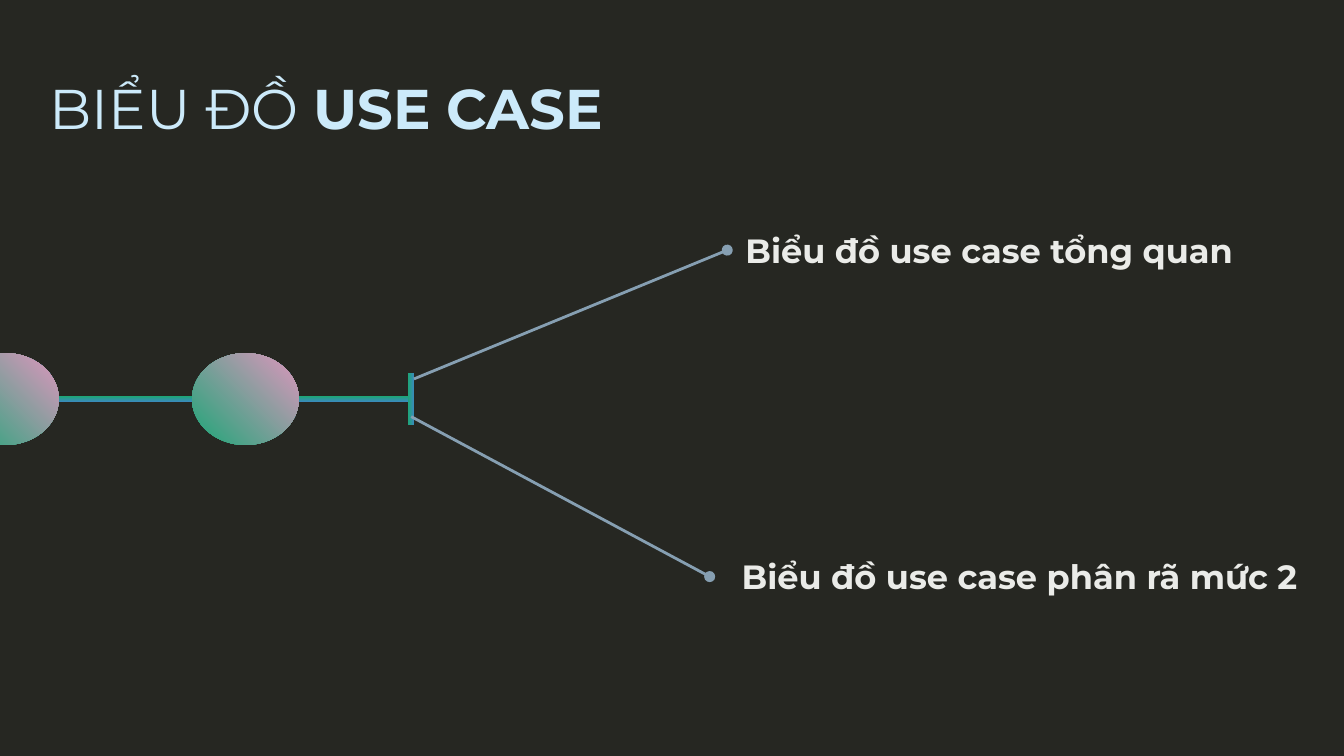
import pptx
import pptx.util
import pptx.dml.color
import pptx.enum.shapes
import pptx.enum.text
import pptx.oxml
import pptx.oxml.ns

Pt = pptx.util.Pt
SHAPES = pptx.enum.shapes.MSO_SHAPE
ALIGN = pptx.enum.text.PP_ALIGN
GREEN, BLUE, PINK = "1DA677", "3A8ABB", "E096BE"
TITLE_COLOR, LABEL_COLOR, LINE_COLOR = "CCEAFA", "EAEBE8", "869FB2"


def color(value):
    """Turn a hex string into a colour."""
    return pptx.dml.color.RGBColor.from_string(value)


def add_text(slide, box, runs, size, text_color, align):
    """Place one line of text, given as (text, bold) runs, in a box."""
    text_box = slide.shapes.add_textbox(*(Pt(length) for length in box))
    frame = text_box.text_frame
    frame.word_wrap = True
    frame.vertical_anchor = pptx.enum.text.MSO_ANCHOR.MIDDLE
    frame.margin_left = frame.margin_right = Pt(7.2)
    frame.margin_top = frame.margin_bottom = Pt(7.2)
    paragraph = frame.paragraphs[0]
    paragraph.alignment = align
    for text, bold in runs:
        run = paragraph.add_run()
        run.text = text
        run.font.name = "Montserrat"
        run.font.size = Pt(size)
        run.font.bold = bold
        run.font.color.rgb = color(text_color)


def add_gradient_shape(slide, kind, box, end_colors, angle):
    """Add a borderless shape with a two-colour gradient."""
    shape = slide.shapes.add_shape(kind, *(Pt(length) for length in box))
    shape.shadow.inherit = False
    shape.line.fill.background()
    shape.fill.gradient()
    shape.fill.gradient_angle = angle
    for stop, position, value in zip(shape.fill.gradient_stops, (0, 1), end_colors):
        stop.position = position
        stop.color.rgb = color(value)


def add_branch(slide, start, end):
    """Draw a line with a round dot at its start."""
    points = (Pt(length) for length in (*start, *end))
    line = slide.shapes.add_connector(pptx.enum.shapes.MSO_CONNECTOR.STRAIGHT, *points)
    line.line.color.rgb = color(LINE_COLOR)
    line.line.width = Pt(1.5)
    namespace = pptx.oxml.ns.nsdecls("a")
    outline = line.line._get_or_add_ln()
    outline.append(pptx.oxml.parse_xml(f'<a:headEnd {namespace} type="oval"/>'))
    properties = line._element.spPr
    properties.append(pptx.oxml.parse_xml(f"<a:effectLst {namespace}/>"))


def add_timeline(slide, left, top, width, height):
    """Draw the bar, its two circles and the end cap."""
    middle = top + height / 2
    right = left + width
    add_gradient_shape(slide, SHAPES.RECTANGLE, (left, middle - 1.5, width, 3), (GREEN, BLUE), 270)
    for offset in (370.8, 242.2):
        circle = (right - 117.5 - (370.8 - offset), top, 57.2, height)
        add_gradient_shape(slide, SHAPES.OVAL, circle, (GREEN, PINK), 45)
    cap = (right - 1.8, middle - 14, 3.2, 28)
    add_gradient_shape(slide, SHAPES.RECTANGLE, cap, (GREEN, BLUE), 0)


def add_topic(slide, left, top, width, height, text, dot, joint):
    """Place a topic label and the branch from its dot to the timeline."""
    add_branch(slide, (left + dot[0], top + dot[1]), joint)
    add_text(slide, (left, top, width, height), [(text, True)], 18, LABEL_COLOR, ALIGN.CENTER)


def main():
    """Build and save the presentation."""
    presentation = pptx.Presentation()
    presentation.slide_width, presentation.slide_height = Pt(720), Pt(405)
    slide = presentation.slides.add_slide(presentation.slide_layouts[6])
    slide.background.fill.solid()
    slide.background.fill.fore_color.rgb = color("262722")
    title = [("BIỂU ĐỒ ", False), ("USE CASE", True)]
    add_text(slide, (19.5, 34.6, 607.7, 45.4), title, 30, TITLE_COLOR, ALIGN.LEFT)
    add_timeline(slide, -253.4, 189.2, 473.8, 49.2)
    add_topic(slide, 380.2, 281.5, 331.9, 54.7, "Biểu đồ use case phân rã mức 2", (0, 27.4), (220.3, 223.2))
    add_topic(slide, 380.2, 106.6, 299.5, 54.7, "Biểu đồ use case tổng quan", (9.4, 27.4), (221.8, 203))
    presentation.save("out.pptx")


if __name__ == "__main__":
    main()
